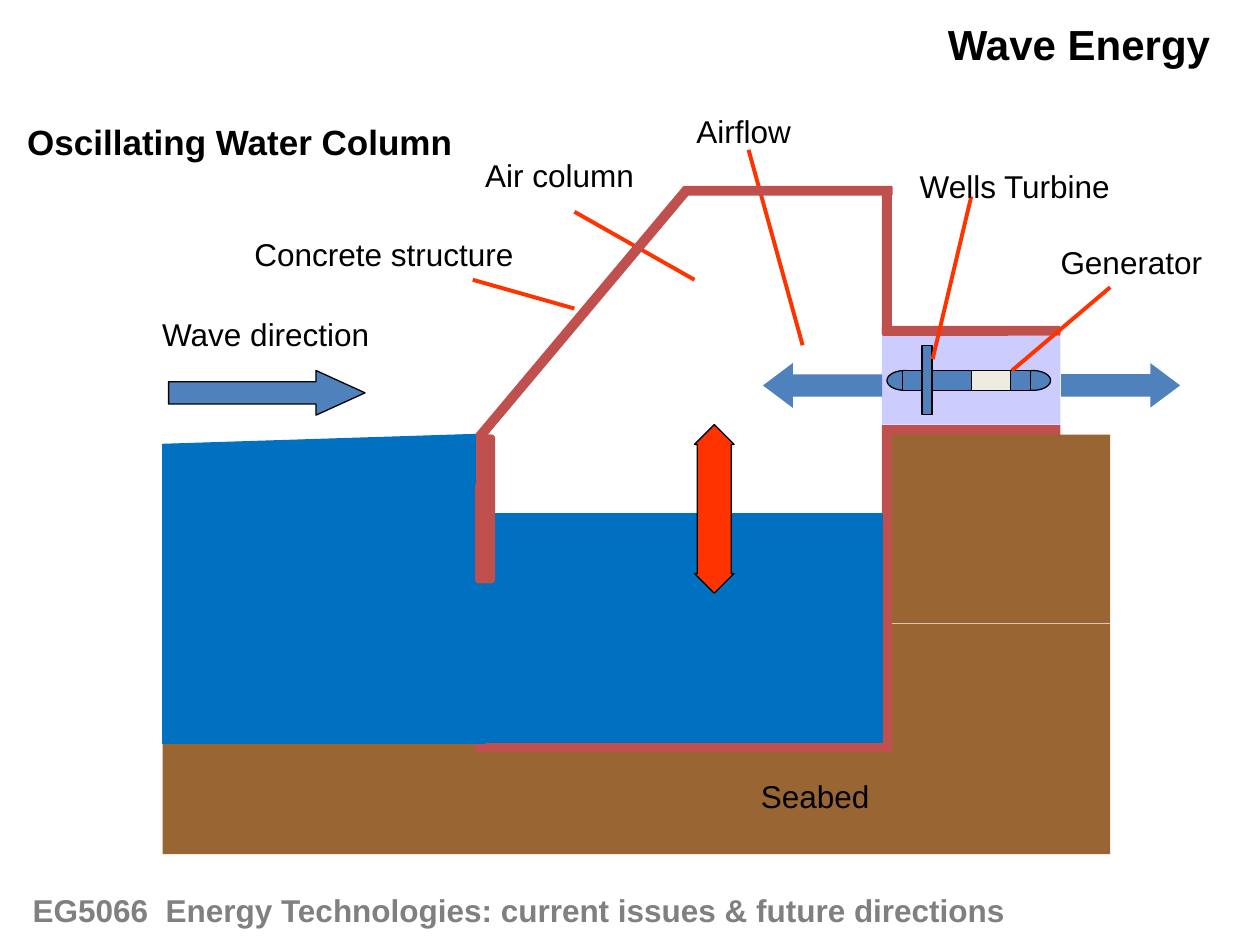
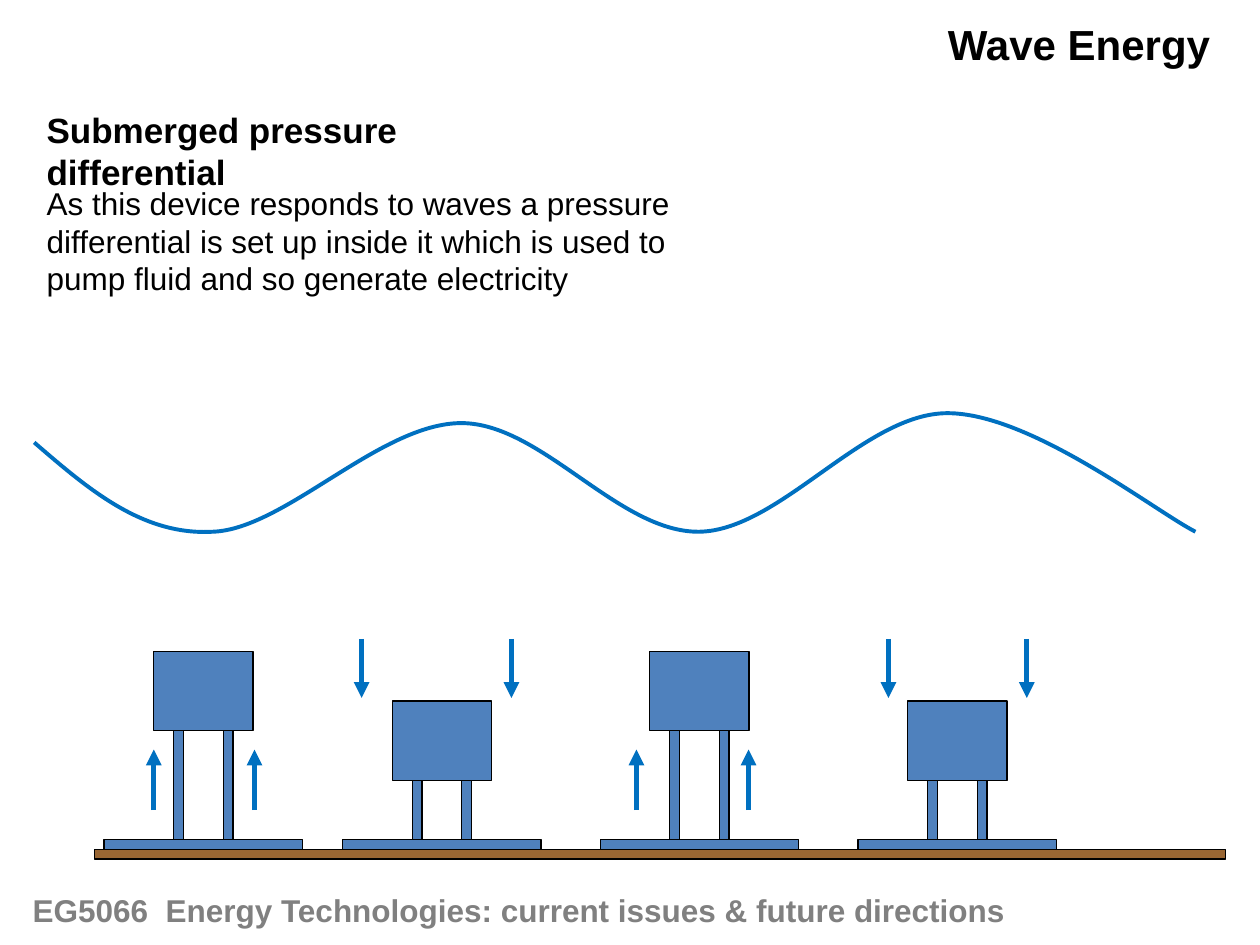
from dataclasses import dataclass
from typing import Optional

from lxml import etree
from pptx import Presentation
from pptx.dml.color import RGBColor
from pptx.enum.shapes import MSO_CONNECTOR, MSO_SHAPE
from pptx.enum.text import MSO_AUTO_SIZE
from pptx.oxml.ns import qn
from pptx.util import Cm, Pt

RECTANGLE = MSO_SHAPE.RECTANGLE
ROUNDED = MSO_SHAPE.ROUNDED_RECTANGLE
OVAL = MSO_SHAPE.OVAL
RIGHT_ARROW = MSO_SHAPE.RIGHT_ARROW
UP_DOWN_ARROW = MSO_SHAPE.UP_DOWN_ARROW
MANUAL_INPUT = MSO_SHAPE.FLOWCHART_MANUAL_INPUT
STRAIGHT = MSO_CONNECTOR.STRAIGHT
FIT_TEXT = MSO_AUTO_SIZE.SHAPE_TO_FIT_TEXT

BLACK = "000000"
GREY = "808080"
STEEL = "4F81BD"
WATER = "0070C0"
CONCRETE = "C0504D"
EARTH = "996633"
AIR = "CCCCFF"
CREAM = "EEECE1"
SIGNAL = "FF3300"

FONT = "Arial"
THIN = 0.75
THICK = 2.25
WALL = 0.2
CORNER = (0.167,)
FLOW_HEAD = (0.5, 0.667)


@dataclass
class Block:
    left: float
    top: float
    width: float
    height: float
    fill: str
    outline: Optional[str] = None
    kind: int = RECTANGLE
    adjustments: tuple = ()
    rotation: float = 0


@dataclass
class Label:
    text: str
    left: float
    top: float
    width: float
    height: float = 1.02
    size: int = 18
    bold: bool = False
    color: str = BLACK
    wrap: bool = False


@dataclass
class Line:
    start: tuple
    end: tuple
    color: str
    weight: float
    arrow: bool = False


@dataclass
class Device:
    left: float
    raised: bool
    arrow_positions: tuple


TITLE = Label("Wave Energy", 18.86, 0.25, 5.84, 1.27, 24, True)
FOOTER = Label("EG5066  Energy Technologies: current issues & future directions",
               0.41, 17.83, 21.82, bold=True, color=GREY, wrap=True)

DUCT_LEFT = 17.78
DUCT_WIDTH = 3.6
SEA_LEFT = 3.28
FRONT_LEFT = 9.58
DECK_TOP = 8.76
TURBINE_TOP = 7.47

SURROUNDINGS = [
    Block(DUCT_LEFT, 6.76, DUCT_WIDTH, 1.8, AIR),
    Block(SEA_LEFT, 12.57, 19.1, 4.65, EARTH),
    Block(FRONT_LEFT, 14.96, 8.4, WALL, CONCRETE),
    Block(DUCT_LEFT, DECK_TOP, WALL, 6.4, CONCRETE),
    Block(DUCT_LEFT, 6.57, DUCT_WIDTH, WALL, CONCRETE, None, ROUNDED, CORNER),
    Block(DUCT_LEFT, 8.57, DUCT_WIDTH, WALL, CONCRETE),
    Block(17.88, TURBINE_TOP, 0.71, 0.4, STEEL, BLACK, OVAL),
    Block(20.47, TURBINE_TOP, 0.71, 0.4, STEEL, BLACK, OVAL),
    Block(18.19, TURBINE_TOP, 2.59, 0.4, STEEL, BLACK),
    Block(18.59, 6.96, WALL, 1.4, STEEL, BLACK),
    Block(19.58, TURBINE_TOP, 0.79, 0.4, CREAM, BLACK),
    Block(9.78, 10.36, 8, 4.6, WATER, WATER),
    Block(SEA_LEFT, 9.78, 6.5, 5.2, WATER, WATER),
    Block(FRONT_LEFT, DECK_TOP, 0.4, 3, CONCRETE, None, ROUNDED, CORNER),
    Block(17.98, DECK_TOP, 4.4, 3.8, EARTH),
    Block(3.4, 7.47, 3.96, 0.9, STEEL, BLACK, RIGHT_ARROW, (0.5, 1.098)),
    Block(14, 8.56, 0.8, 3.4, SIGNAL, BLACK, UP_DOWN_ARROW, (0.5, 0.857)),
    Block(21.39, 7.32, 2.4, 0.9, STEEL, None, RIGHT_ARROW, FLOW_HEAD),
    Block(15.38, 7.32, 2.4, 0.9, STEEL, None, RIGHT_ARROW, FLOW_HEAD, 180),
]

CHAMBER = [
    Block(11.63, 3.02, WALL, 6.65, CONCRETE, None, ROUNDED, CORNER, 220),
    Block(15.8, 1.75, WALL, 4.19, CONCRETE, None, ROUNDED, CORNER, 270),
    Block(DUCT_LEFT, 3.76, WALL, 3, CONCRETE, None, ROUNDED, CORNER),
    Block(SEA_LEFT, DECK_TOP, 6.3, 1, WATER, WATER, MANUAL_INPUT),
]

COLUMN_LABELS = [
    Label("Oscillating Water Column", 0.3, 2.31, 9.09, 1.09, 20, True),
    Label("Airflow", 13.79, 2.13, 2.41),
    Label("Wave direction", 3.02, 6.22, 4.7),
    Label("Wells Turbine", 18.29, 3.25, 4.39),
    Label("Generator", 21.13, 4.78, 3.38),
    Label("Air column", 9.53, 3.02, 3.51),
    Label("Concrete structure", 4.88, 4.62, 5.74),
    Label("Seabed", 15.09, 15.54, 2.69),
]

LEADERS = [
    ((18.8, 7.24), (19.58, 3.96)),
    ((22.38, 5.79), (20.4, 7.47)),
    ((15.09, 3.02), (16.18, 6.96)),
    ((11.58, 4.27), (14, 5.64)),
    ((9.53, 5.64), (11.58, 6.22)),
]

WAVE_POINTS = [
    (0.69, 8.92),
    (1.78, 9.86), (2.87, 10.8), (4.29, 10.72),
    (5.74, 10.67), (7.67, 8.53), (9.3, 8.53),
    (10.92, 8.53), (12.47, 10.74), (14.1, 10.72),
    (15.72, 10.69), (17.42, 8.33), (19.1, 8.33),
    (20.78, 8.33), (23.29, 10.31), (24.1, 10.72),
]

DEVICES = [
    Device(2.1, True, (3.1, 5.13)),
    Device(6.91, False, (7.29, 10.31)),
    Device(12.1, True, (12.83, 15.09)),
    Device(17.3, False, (17.91, 20.7)),
]
BASE_TOP = 16.92
FLOAT_HEIGHT = 1.6

PRESSURE_LABELS = [
    Label("Submerged pressure differential", 0.69, 2.06, 11.35, 1.09, 20, True,
          wrap=True),
    Label("As this device responds to waves a pressure differential is set up "
          "inside it which is used to pump fluid and so generate electricity",
          0.69, 3.58, 14.4, 2.54, wrap=True),
]


def rgb(color: str) -> RGBColor:
    return RGBColor.from_string(color)


def draw_block(slide, block: Block) -> None:
    shape = slide.shapes.add_shape(block.kind, Cm(block.left), Cm(block.top),
                                   Cm(block.width), Cm(block.height))
    shape.shadow.inherit = False
    shape.rotation = block.rotation
    for index, value in enumerate(block.adjustments):
        shape.adjustments[index] = value
    shape.fill.solid()
    shape.fill.fore_color.rgb = rgb(block.fill)
    if block.outline:
        shape.line.color.rgb = rgb(block.outline)
        shape.line.width = Pt(THIN)
    else:
        shape.line.fill.background()


def draw_label(slide, label: Label) -> None:
    box = slide.shapes.add_textbox(Cm(label.left), Cm(label.top),
                                   Cm(label.width), Cm(label.height))
    frame = box.text_frame
    frame.word_wrap = label.wrap
    frame.auto_size = FIT_TEXT
    paragraph = frame.paragraphs[0]
    paragraph.text = label.text
    paragraph.font.name = FONT
    paragraph.font.size = Pt(label.size)
    paragraph.font.bold = label.bold
    paragraph.font.color.rgb = rgb(label.color)


def draw_line(slide, line: Line) -> None:
    connector = slide.shapes.add_connector(
        STRAIGHT, *(Cm(value) for value in line.start + line.end))
    connector.line.color.rgb = rgb(line.color)
    connector.line.width = Pt(line.weight)
    if line.arrow:
        outline = connector.line._get_or_add_ln()
        etree.SubElement(outline, qn("a:tailEnd"), type="triangle")
    etree.SubElement(connector._element.spPr, qn("a:effectLst"))


def draw_wave(slide, points: list) -> None:
    start, *others = [(Cm(x), Cm(y)) for x, y in points]
    builder = slide.shapes.build_freeform(*start)
    builder.add_line_segments(others, close=False)
    wave = builder.convert_to_shape()
    wave.shadow.inherit = False
    wave.fill.background()
    wave.line.color.rgb = rgb(WATER)
    wave.line.width = Pt(THICK)
    segments = list(wave._element.iter(qn("a:lnTo")))
    outline = segments[0].getparent()
    for first in range(0, len(segments), 3):
        curve = etree.SubElement(outline, qn("a:cubicBezTo"))
        for segment in segments[first:first + 3]:
            curve.append(segment[0])
            outline.remove(segment)


def draw_device(slide, device: Device) -> None:
    float_top = 13.13 if device.raised else 14.13
    leg_top = float_top + FLOAT_HEIGHT
    leg_height = BASE_TOP - leg_top
    parts = [
        (1, float_top, 2, FLOAT_HEIGHT),
        (0, BASE_TOP, 4, 0.2),
        (1.4, leg_top, 0.2, leg_height),
        (2.4, leg_top, 0.2, leg_height),
    ]
    for offset, top, width, height in parts:
        draw_block(slide, Block(device.left + offset, top, width, height,
                                STEEL, BLACK))
    start, end = (16.33, 15.11) if device.raised else (12.88, 14.07)
    for x in device.arrow_positions:
        draw_line(slide, Line((x, start), (x, end), WATER, 3, True))


def add_slide(presentation, labels: list):
    slide = presentation.slides.add_slide(presentation.slide_layouts[6])
    for label in [TITLE, FOOTER] + labels:
        draw_label(slide, label)
    return slide


def build_water_column(presentation) -> None:
    slide = add_slide(presentation, [])
    for block in SURROUNDINGS:
        draw_block(slide, block)
    for start, end in LEADERS:
        draw_line(slide, Line(start, end, SIGNAL, THICK))
    for block in CHAMBER:
        draw_block(slide, block)
    for label in COLUMN_LABELS:
        draw_label(slide, label)


def build_pressure_differential(presentation) -> None:
    slide = add_slide(presentation, PRESSURE_LABELS)
    draw_wave(slide, WAVE_POINTS)
    draw_block(slide, Block(1.9, 17.12, 22.81, 0.2, EARTH, BLACK))
    for device in DEVICES:
        draw_device(slide, device)


def main() -> None:
    presentation = Presentation()
    presentation.slide_width = Cm(25.4)
    presentation.slide_height = Cm(19.05)
    build_water_column(presentation)
    build_pressure_differential(presentation)
    presentation.save("out.pptx")


if __name__ == "__main__":
    main()
